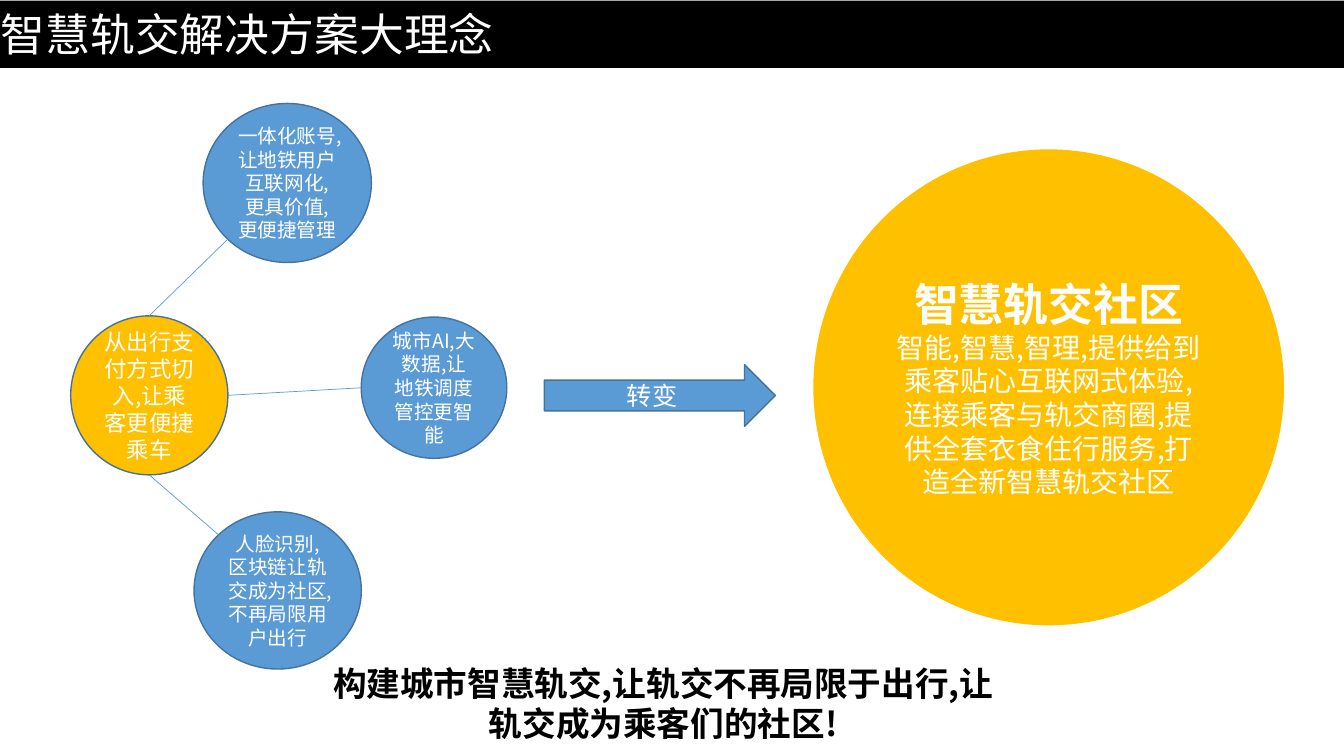
"""Build the smart rail transit concept slide."""
from dataclasses import dataclass

import lxml.etree
import pptx
import pptx.dml.color
import pptx.enum.shapes
import pptx.enum.text
import pptx.oxml.ns
import pptx.shapes.autoshape
import pptx.slide
import pptx.text.text
import pptx.util

Pt = pptx.util.Pt
Shape = pptx.enum.shapes.MSO_SHAPE
Align = pptx.enum.text.PP_ALIGN
Anchor = pptx.enum.text.MSO_ANCHOR
qn = pptx.oxml.ns.qn

COLOURS = {
    "black": "000000",
    "white": "FFFFFF",
    "gold": "FFC000",
    "blue": "5B9BD5",
    "outline": "43739E",
}
CJK_FONT = "Noto Sans CJK SC"


@dataclass
class Line:
    text: str
    size: float
    bold: bool = False
    colour: str = "white"
    font: str = CJK_FONT
    align: Align = Align.CENTER


@dataclass
class Block:
    kind: Shape
    left: float
    top: float
    width: float
    height: float
    fill: str
    outline: str = ""
    lines: tuple[Line, ...] = ()


@dataclass
class Caption:
    left: float
    top: float
    width: float
    height: float
    line: Line
    margins: dict[str, int]


@dataclass
class Link:
    start: tuple[float, float]
    end: tuple[float, float]


def rgb(name: str) -> pptx.dml.color.RGBColor:
    return pptx.dml.color.RGBColor.from_string(COLOURS[name])


def write_lines(frame: pptx.text.text.TextFrame, lines: tuple[Line, ...]) -> None:
    frame.word_wrap = True
    for index, line in enumerate(lines):
        para = frame.add_paragraph() if index else frame.paragraphs[0]
        para.alignment = line.align
        span = para.add_run()
        span.text = line.text
        formats = {"size": Pt(line.size), "bold": line.bold, "name": line.font}
        for attribute, value in formats.items():
            setattr(span.font, attribute, value)
        span.font.color.rgb = rgb(line.colour)
        east_asian = lxml.etree.SubElement(span.font._element, qn("a:ea"))
        east_asian.set("typeface", CJK_FONT)


def draw_block(page: pptx.slide.Slide, block: Block) -> None:
    shape = page.shapes.add_shape(
        block.kind, Pt(block.left), Pt(block.top), Pt(block.width), Pt(block.height))
    shape.shadow.inherit = False
    shape.fill.solid()
    shape.fill.fore_color.rgb = rgb(block.fill)
    if block.outline:
        shape.line.color.rgb = rgb(block.outline)
        shape.line.width = Pt(1)
    else:
        shape.line.fill.background()
    shape.text_frame.vertical_anchor = Anchor.MIDDLE
    write_lines(shape.text_frame, block.lines)


def draw_caption(page: pptx.slide.Slide, caption: Caption) -> None:
    box = page.shapes.add_textbox(
        Pt(caption.left), Pt(caption.top), Pt(caption.width), Pt(caption.height))
    for attribute, value in caption.margins.items():
        setattr(box.text_frame, attribute, value)
    write_lines(box.text_frame, (caption.line,))


def draw_link(page: pptx.slide.Slide, link: Link) -> None:
    connector = page.shapes.add_connector(
        pptx.enum.shapes.MSO_CONNECTOR.STRAIGHT,
        *(Pt(length) for length in link.start + link.end))
    connector.line.color.rgb = rgb("blue")
    connector.line.width = Pt(0.5)
    lxml.etree.SubElement(connector._element.spPr, qn("a:effectLst"))


def bubble(left: float, top: float, width: float, height: float,
           text: str, size: float = 14, fill: str = "blue") -> Block:
    return Block(Shape.OVAL, left, top, width, height, fill, "outline", (Line(text, size),))


NO_MARGINS = {f"margin_{side}": Pt(0) for side in ("left", "top", "right", "bottom")}

TITLE_BAR = Block(Shape.RECTANGLE, 0, 0.5, 960, 48, "black")
CAPTIONS = (
    Caption(0.5, 5, 924, 39,
            Line("智慧轨交解决方案大理念", 32, align=Align.LEFT), NO_MARGINS),
    Caption(219.6, 470, 508.3, 65.4,
            Line("构建城市智慧轨交,让轨交不再局限于出行,让轨交成为乘客们的社区!",
                 24, True, "black"), {}),
)
BLOCKS = (
    bubble(50.5, 225.6, 112.3, 113.6, "从出行支付方式切入,让乘客更便捷乘车", 16, "gold"),
    bubble(145.1, 73.9, 120.2, 113.6, "一体化账号,让地铁用户互联网化,更具价值,更便捷管理"),
    bubble(258, 226.5, 104, 100.9, "城市AI,大数据,让地铁调度管控更智能"),
    bubble(138.6, 365.6, 119.5, 112.3, "人脸识别,区块链让轨交成为社区,不再局限用户出行"),
    Block(Shape.OVAL, 581, 106.7, 336.2, 340, "gold", lines=(
        Line("智慧轨交社区", 32, True),
        Line("智能,智慧,智理,提供给到乘客贴心互联网式体验,连接乘客与轨交商圈,"
             "提供全套衣食住行服务,打造全新智慧轨交社区", 20))),
    Block(Shape.RIGHT_ARROW, 388.8, 260.5, 165, 44, "blue", "outline",
          (Line("转变", 18, font="Calibri"),)),
)
LINKS = (
    Link((106.6, 225.6), (162.7, 170.9)),
    Link((162.8, 282.4), (258, 277)),
    Link((106.6, 339.2), (156.1, 382)),
)


def main() -> None:
    deck = pptx.Presentation()
    deck.slide_width, deck.slide_height = Pt(960), Pt(540)
    page = deck.slides.add_slide(deck.slide_layouts[6])
    draw_block(page, TITLE_BAR)
    for block in BLOCKS:
        draw_block(page, block)
    for caption in CAPTIONS:
        draw_caption(page, caption)
    for link in LINKS:
        draw_link(page, link)
    deck.save("out.pptx")


if __name__ == "__main__":
    main()
